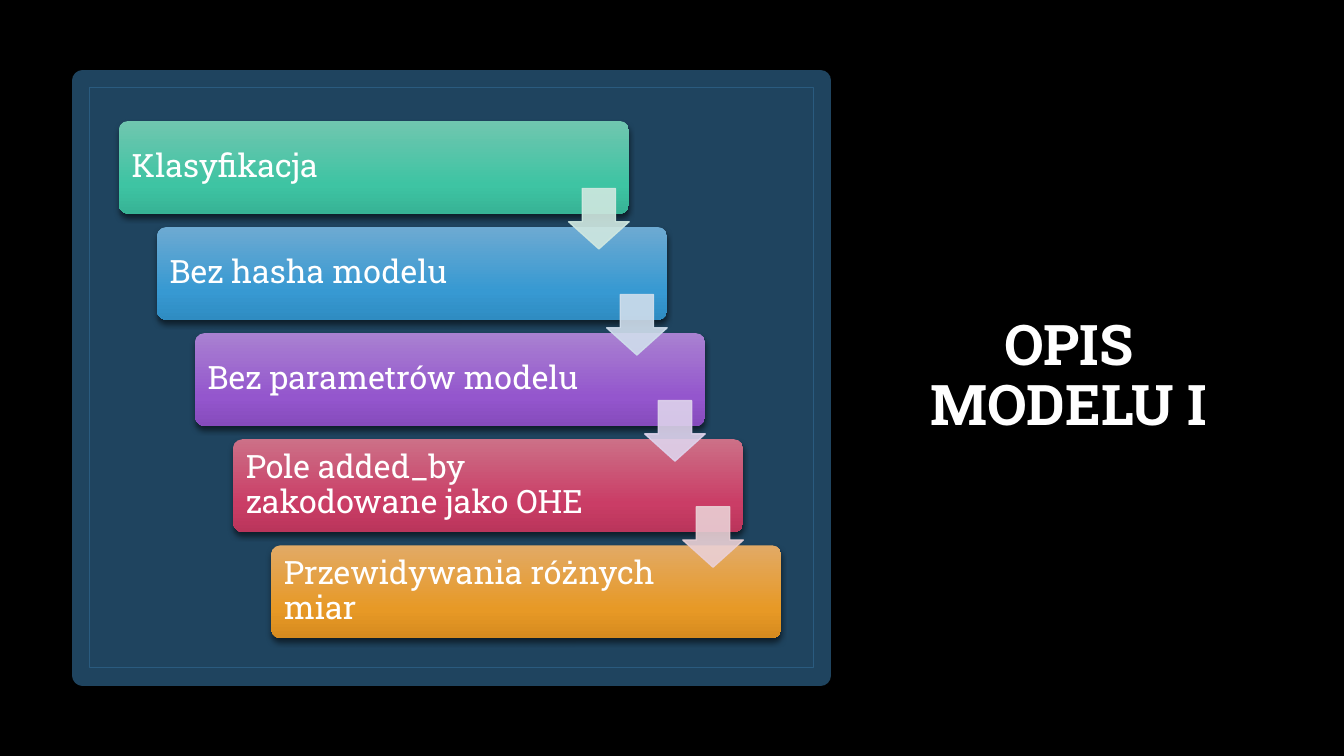
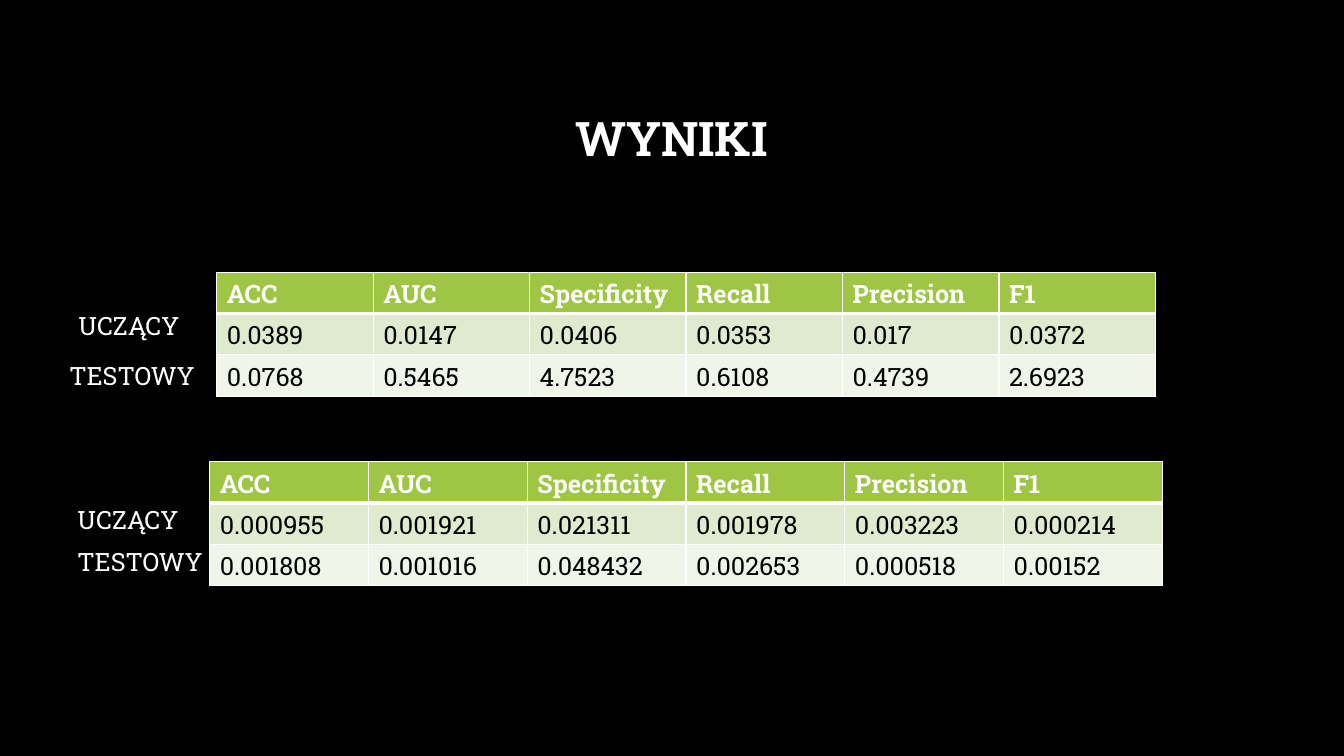
from dataclasses import dataclass

from lxml.etree import SubElement
from pptx import Presentation
from pptx.dml.color import RGBColor
from pptx.enum.shapes import MSO_SHAPE as Shape
from pptx.enum.text import MSO_ANCHOR as Anchor, PP_ALIGN as Align
from pptx.oxml.ns import qn
from pptx.util import Inches, Pt

FONT = "Roboto Slab"
BLACK, WHITE = "000000", "FFFFFF"
PANEL, PANEL_EDGE = "1F445F", "2A5B7F"
HEADER_FILL = "9EC544"
ROW_FILLS = ("DFEACF", "F0F5E9")

CARD_WIDTH, CARD_HEIGHT = 5.06, 0.92
FIRST_LEFT, FIRST_TOP = 1.18, 1.2
LAST_LEFT, LAST_TOP = 2.69, 5.41
ARROW_SIZE, ARROW_DROP = 0.6, 0.67
ROW_HEIGHT = 0.41


@dataclass(frozen=True)
class Step:
    text: str
    gradient: tuple[str, str, str]
    arrow: str | None = None


@dataclass(frozen=True)
class Results:
    left: float
    top: float
    width: float
    rows: tuple[tuple[str, ...], ...]


@dataclass(frozen=True)
class RowLabel:
    text: str
    left: float
    top: float


STEPS = (
    Step("Klasyfikacja", ("70C6AF", "3EC4A3", "37B395"), "D0E8E0"),
    Step("Bez hasha modelu", ("6DAAD2", "3799D2", "2F8CC2"), "D0DEEC"),
    Step("Bez parametrów modelu", ("A981D1", "9456CD", "864BBC"), "DED3EC"),
    Step("Pole added_by zakodowane jako OHE", ("CC7087", "CA3D66", "BA355B"), "EAD0D5"),
    Step("Przewidywania różnych miar", ("E2AA66", "E79926", "D68B1F")),
)
METRICS = ("ACC", "AUC", "Specificity", "Recall", "Precision", "F1")
RESULTS = (
    Results(2.15, 2.7, 9.31, (
        ("0.0389", "0.0147", "0.0406", "0.0353", "0.017", "0.0372"),
        ("0.0768", "0.5465", "4.7523", "0.6108", "0.4739", "2.6923"),
    )),
    Results(2.08, 4.58, 9.45, (
        ("0.000955", "0.001921", "0.021311", "0.001978", "0.003223", "0.000214"),
        ("0.001808", "0.001016", "0.048432", "0.002653", "0.000518", "0.00152"),
    )),
)
ROW_LABELS = (
    RowLabel("UCZĄCY", 0.68, 3.03),
    RowLabel("TESTOWY", 0.59, 3.53),
    RowLabel("UCZĄCY", 0.67, 4.95),
    RowLabel("TESTOWY", 0.67, 5.37),
)


def rgb(color: str) -> RGBColor:
    return RGBColor.from_string(color)


def write(frame, text: str, size: float, color: str = WHITE, bold: bool = False) -> None:
    frame.text = text
    font = frame.paragraphs[0].runs[0].font
    font.name, font.size, font.bold = FONT, Pt(size), bold
    font.color.rgb = rgb(color)


def add_slide(prs):
    slide = prs.slides.add_slide(prs.slide_layouts[6])
    slide.background.fill.solid()
    slide.background.fill.fore_color.rgb = rgb(BLACK)
    return slide


def add_text(slide, text: str, left: float, top: float, width: float, height: float,
             size: float, bold: bool = False):
    box = slide.shapes.add_textbox(Inches(left), Inches(top), Inches(width), Inches(height))
    box.text_frame.word_wrap = True
    write(box.text_frame, text, size, bold=bold)
    return box.text_frame


def add_title(slide, text: str, left: float, top: float, width: float, height: float,
              size: float) -> None:
    frame = add_text(slide, text, left, top, width, height, size, bold=True)
    frame.vertical_anchor = Anchor.MIDDLE
    frame.paragraphs[0].alignment = Align.CENTER
    frame.paragraphs[0].line_spacing = 0.9


def add_figure(slide, kind: Shape, left: float, top: float, width: float, height: float,
               fill: str | None = None, line: str | None = None, line_width: float = 1):
    figure = slide.shapes.add_shape(kind, Inches(left), Inches(top), Inches(width), Inches(height))
    figure.shadow.inherit = False
    if fill:
        figure.fill.solid()
        figure.fill.fore_color.rgb = rgb(fill)
    else:
        figure.fill.background()
    if line:
        figure.line.color.rgb = rgb(line)
        figure.line.width = Pt(line_width)
    else:
        figure.line.fill.background()
    return figure


def set_alpha(color_element, percent: int) -> None:
    SubElement(color_element, qn("a:alpha"), val=str(percent * 1000))


def drop_shadow(figure, percent: int, blur: float, distance: float) -> None:
    effects = figure._element.spPr.find(qn("a:effectLst"))
    shadow = SubElement(effects, qn("a:outerShdw"), blurRad=str(Pt(blur)),
                        dist=str(Pt(distance)), dir="5400000", rotWithShape="0")
    set_alpha(SubElement(shadow, qn("a:srgbClr"), val=BLACK), percent)


def fill_gradient(figure, colors: tuple[str, str, str]) -> None:
    """Run the three colours from top to bottom."""
    figure.fill.gradient()
    figure.fill.gradient_angle = 270
    stops = figure._element.spPr.find(".//" + qn("a:gsLst"))
    for stop in list(stops):
        stops.remove(stop)
    for position, color in zip((0, 69, 100), colors):
        stop = SubElement(stops, qn("a:gs"), pos=str(position * 1000))
        SubElement(stop, qn("a:srgbClr"), val=color)


def add_card(slide, step: Step, left: float, top: float) -> None:
    card = add_figure(slide, Shape.ROUNDED_RECTANGLE, left, top, CARD_WIDTH, CARD_HEIGHT)
    card.adjustments[0] = 0.1
    fill_gradient(card, step.gradient)
    drop_shadow(card, 54, 4, 3)
    frame = card.text_frame
    frame.word_wrap = True
    frame.vertical_anchor = Anchor.MIDDLE
    frame.margin_left = frame.margin_top = frame.margin_bottom = Inches(0.1)
    frame.margin_right = Inches(1.08)
    write(frame, step.text, 23)
    frame.paragraphs[0].alignment = Align.LEFT
    frame.paragraphs[0].line_spacing = 0.9


def add_arrow(slide, color: str, card_left: float, card_top: float) -> None:
    """Place an arrow at the lower right corner of a card."""
    arrow = add_figure(slide, Shape.DOWN_ARROW, card_left + CARD_WIDTH - ARROW_SIZE,
                       card_top + ARROW_DROP, ARROW_SIZE, ARROW_SIZE, color, color)
    arrow.adjustments[0], arrow.adjustments[1] = 0.55, 0.45
    for color_element in arrow._element.spPr.iter(qn("a:srgbClr")):
        set_alpha(color_element, 90)


def add_staircase(slide) -> None:
    gaps = len(STEPS) - 1
    corners = [(FIRST_LEFT + i * (LAST_LEFT - FIRST_LEFT) / gaps,
                FIRST_TOP + i * (LAST_TOP - FIRST_TOP) / gaps) for i in range(len(STEPS))]
    for step, corner in zip(STEPS, corners):
        add_card(slide, step, *corner)
    for step, corner in zip(STEPS, corners):
        if step.arrow:
            add_arrow(slide, step.arrow, *corner)


def set_borders(cell, top: float, bottom: float) -> None:
    properties = cell._tc.get_or_add_tcPr()
    for side, width in (("L", 1), ("R", 1), ("T", top), ("B", bottom)):
        border = SubElement(properties, qn(f"a:ln{side}"), w=str(Pt(width)))
        SubElement(SubElement(border, qn("a:solidFill")), qn("a:srgbClr"), val=WHITE)


def add_results(slide, results: Results) -> None:
    rows = (METRICS, *results.rows)
    table = slide.shapes.add_table(
        len(rows), len(METRICS), Inches(results.left), Inches(results.top),
        Inches(results.width), Inches(ROW_HEIGHT * len(rows))).table
    for column in table.columns:
        column.width = Inches(results.width / len(METRICS))
    for r, (values, fill) in enumerate(zip(rows, (HEADER_FILL, *ROW_FILLS))):
        header = r == 0
        for c, value in enumerate(values):
            cell = table.cell(r, c)
            set_borders(cell, top=3 if r == 1 else 1, bottom=3 if header else 1)
            cell.fill.solid()
            cell.fill.fore_color.rgb = rgb(fill)
            write(cell.text_frame, value, 18, WHITE if header else BLACK, header)


def build_model_slide(prs) -> None:
    slide = add_slide(prs)
    add_title(slide, "OPIS MODELU I", 8.61, 0.69, 3.98, 6.11, 40)
    panel = add_figure(slide, Shape.RECTANGLE, 0.82, 0.8, 7.32, 5.9, PANEL, PANEL, 15)
    drop_shadow(panel, 40, 4.3, 1.4)
    add_figure(slide, Shape.RECTANGLE, 0.89, 0.87, 7.18, 5.75, line=PANEL_EDGE)
    add_staircase(slide)


def build_results_slide(prs) -> None:
    slide = add_slide(prs)
    add_title(slide, "WYNIKI", 1, 0.67, 11.32, 1.45, 34)
    for results in RESULTS:
        add_results(slide, results)
    for label in ROW_LABELS:
        add_text(slide, label.text, label.left, label.top, 1.7, 0.4, 18)


def main() -> None:
    prs = Presentation()
    prs.slide_width, prs.slide_height = Inches(13.33), Inches(7.5)
    build_model_slide(prs)
    build_results_slide(prs)
    prs.save("out.pptx")


if __name__ == "__main__":
    main()
